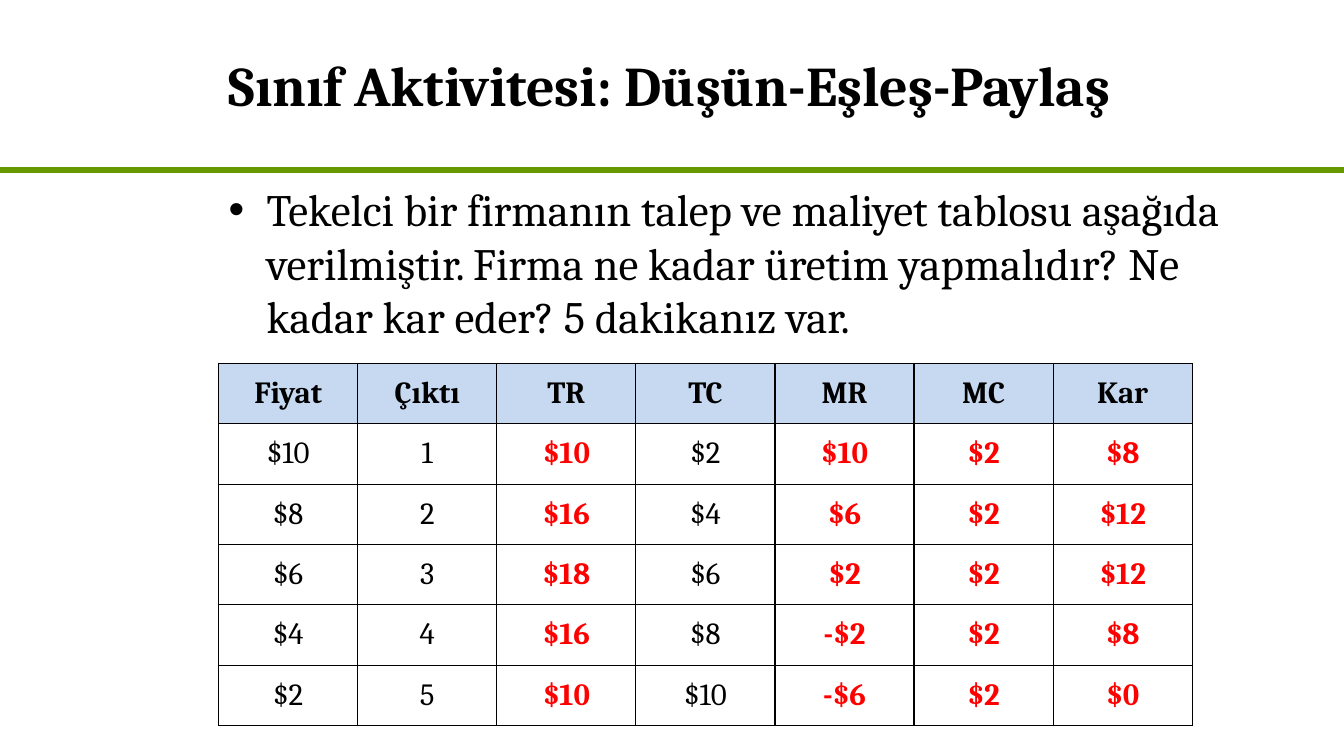
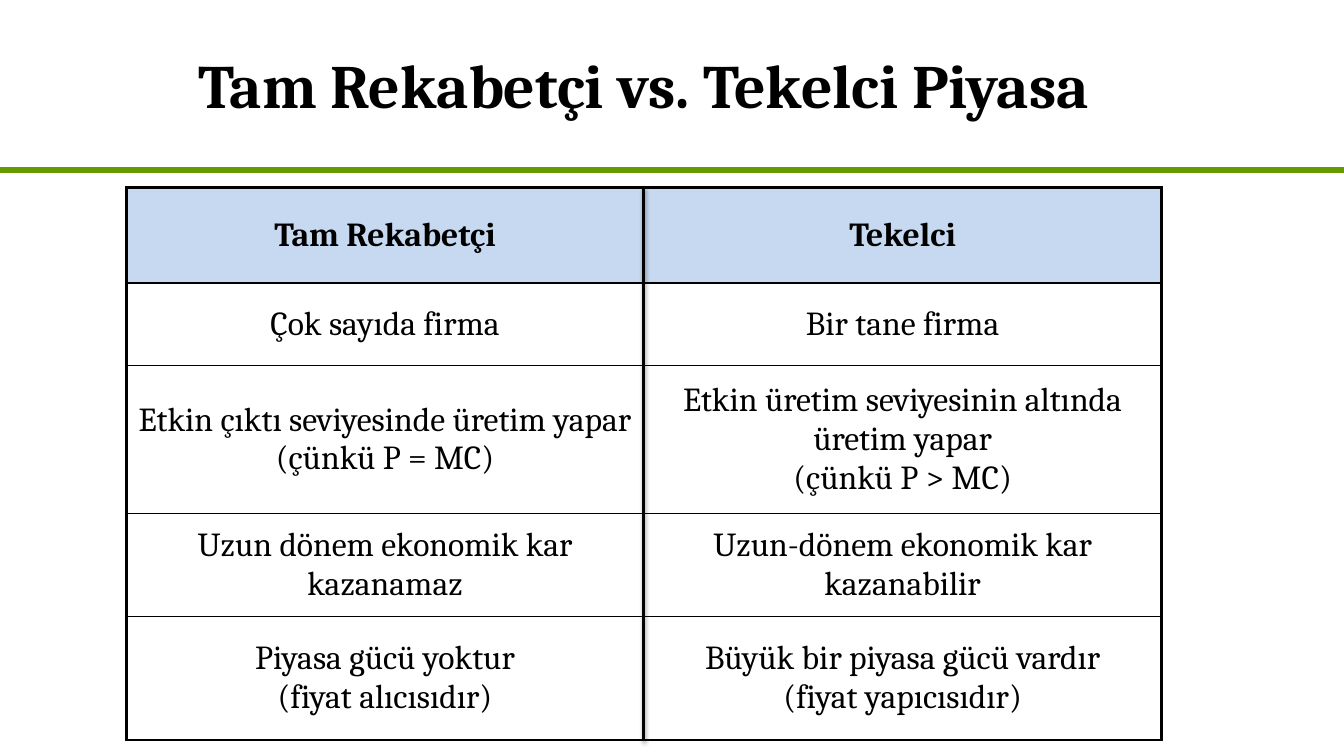
import pptx
import pptx.util
import pptx.dml.color
import pptx.enum.shapes
import pptx.enum.text
import pptx.oxml
import pptx.oxml.ns

Cm, Pt = pptx.util.Cm, pptx.util.Pt
ALIGN = pptx.enum.text.PP_ALIGN
MIDDLE = pptx.enum.text.MSO_ANCHOR.MIDDLE

FONT = "Cambria"
BLACK, RED, GREEN, HEADER_BLUE = "000000", "FF0000", "669900", "C6D9F1"
SLIDE_WIDTH, SLIDE_HEIGHT = Cm(33.87), Cm(19.05)
RULE_TOP, TITLE_HEIGHT = Cm(4.29), Cm(4.24)
THIN, THICK = Pt(1), Pt(2.25)

ACTIVITY_TITLE = "Sınıf Aktivitesi: Düşün-Eşleş-Paylaş"
ACTIVITY_QUESTION = (
    "Tekelci bir firmanın talep ve maliyet tablosu aşağıda verilmiştir. "
    "Firma ne kadar üretim yapmalıdır? Ne kadar kar eder? 5 dakikanız var."
)
COST_ROWS = [
    ("Fiyat", "Çıktı", "TR", "TC", "MR", "MC", "Kar"),
    ("$10", "1", "$10", "$2", "$10", "$2", "$8"),
    ("$8", "2", "$16", "$4", "$6", "$2", "$12"),
    ("$6", "3", "$18", "$6", "$2", "$2", "$12"),
    ("$4", "4", "$16", "$8", "-$2", "$2", "$8"),
    ("$2", "5", "$10", "$10", "-$6", "$2", "$0"),
]
ANSWER_COLUMNS = {"TR", "MR", "MC", "Kar"}

COMPARISON_TITLE = "Tam Rekabetçi vs. Tekelci Piyasa"
COMPARISON_ROWS = [
    ("Tam Rekabetçi", "Tekelci"),
    ("Çok sayıda firma", "Bir tane firma"),
    ("Etkin çıktı seviyesinde üretim yapar\n(çünkü P = MC)",
     "Etkin üretim seviyesinin altında üretim yapar\n(çünkü P > MC)"),
    ("Uzun dönem ekonomik kar kazanamaz", "Uzun-dönem ekonomik kar kazanabilir"),
    ("Piyasa gücü yoktur\n(fiyat alıcısıdır)",
     "Büyük bir piyasa gücü vardır\n(fiyat yapıcısıdır)"),
]
COMPARISON_HEIGHTS = [Cm(h) for h in (2.41, 2.08, 3.73, 2.59, 3.12)]


def rgb(color):
    return pptx.dml.color.RGBColor.from_string(color)


def xml(tag, content="", attributes=""):
    return pptx.oxml.parse_xml(
        f'<a:{tag} {pptx.oxml.ns.nsdecls("a")} {attributes}>{content}</a:{tag}>')


def style_text(frame, size, color=BLACK, bold=False, align=None):
    for paragraph in frame.paragraphs:
        paragraph.alignment = align
        for run in paragraph.runs:
            run.font.name, run.font.size, run.font.bold = FONT, Pt(size), bold
            run.font.color.rgb = rgb(color)


def fill_placeholder(placeholder, text, box, size, bold=False, align=None):
    placeholder.left, placeholder.top, placeholder.width, placeholder.height = box
    frame = placeholder.text_frame
    frame.text = text
    frame.auto_size = pptx.enum.text.MSO_AUTO_SIZE.NONE
    frame.paragraphs[0].space_before = Pt(0)
    style_text(frame, size, bold=bold, align=align)


def add_line(slide, start, end, color, weight, effect=""):
    line = slide.shapes.add_connector(
        pptx.enum.shapes.MSO_CONNECTOR.STRAIGHT, *start, *end)
    line.line.color.rgb = rgb(color)
    line.line.width = Pt(weight)
    line.element.spPr.append(xml("effectLst", effect))
    return line


def set_borders(cell, widths):
    properties = cell._tc.get_or_add_tcPr()
    for position, (side, width) in enumerate(zip("LRTB", widths)):
        stroke = f'<a:solidFill><a:srgbClr val="{BLACK}"/></a:solidFill>'
        properties.insert(position, xml(f"ln{side}", stroke, f'w="{width}"'))


def add_grid(slide, rows, corner, width, heights, size, margins, frame_width,
             answers=()):
    row_count, column_count = len(rows), len(rows[0])
    table = slide.shapes.add_table(
        row_count, column_count, *corner, width, sum(heights)).table
    table.horz_banding = False
    for column in table.columns:
        column.width = int(width / column_count)
    for r, (values, height) in enumerate(zip(rows, heights)):
        table.rows[r].height = height
        for c, value in enumerate(values):
            cell = table.cell(r, c)
            cell.text_frame.text = value
            cell.vertical_anchor = MIDDLE
            cell.margin_left = cell.margin_right = margins[0]
            cell.margin_top = cell.margin_bottom = margins[1]
            header = r == 0
            answer = not header and rows[0][c] in answers
            style_text(cell.text_frame, size, RED if answer else BLACK,
                       header or answer, ALIGN.CENTER)
            if header:
                cell.fill.solid()
                cell.fill.fore_color.rgb = rgb(HEADER_BLUE)
            else:
                cell.fill.background()
            on_edge = (c == 0, c == column_count - 1, header, r == row_count - 1)
            set_borders(cell, [frame_width if edge else THIN for edge in on_edge])


def build_activity(deck):
    slide = deck.slides.add_slide(deck.slide_layouts[1])
    left, width = Cm(5.51), Cm(24.54)
    fill_placeholder(slide.shapes.title, ACTIVITY_TITLE,
                     (left, 0, width, TITLE_HEIGHT), 40, True, ALIGN.LEFT)
    fill_placeholder(slide.placeholders[1], ACTIVITY_QUESTION,
                     (left, Cm(4.45), Cm(26.57), Cm(3.25)), 32)
    add_grid(slide, COST_ROWS, (left, Cm(9.16)), width,
             [Cm(1.52)] * len(COST_ROWS), 22, (Cm(0.03), Cm(0.02)), THIN,
             ANSWER_COLUMNS)
    return slide


def build_comparison(deck):
    slide = deck.slides.add_slide(deck.slide_layouts[5])
    fill_placeholder(slide.shapes.title, COMPARISON_TITLE,
                     (Cm(1.09), 0, Cm(30.28), TITLE_HEIGHT), 44, True, ALIGN.CENTER)
    left, top, width = Cm(3.18), Cm(4.72), Cm(26.09)
    add_grid(slide, COMPARISON_ROWS, (left, top), width, COMPARISON_HEIGHTS,
             24, (Cm(0.18), 0), THICK)
    middle = left + int(width / 2)
    shadow = (f'<a:outerShdw blurRad="{Pt(3.1)}" dist="{Pt(1.6)}" dir="5400000" '
              f'rotWithShape="0"><a:srgbClr val="{BLACK}"><a:alpha val="38000"/>'
              '</a:srgbClr></a:outerShdw>')
    add_line(slide, (middle, top), (middle, top + sum(COMPARISON_HEIGHTS)),
             BLACK, 2, shadow)


def main():
    deck = pptx.Presentation()
    deck.slide_width, deck.slide_height = SLIDE_WIDTH, SLIDE_HEIGHT
    activity = build_activity(deck)
    build_comparison(deck)
    title_rule = add_line(activity, (0, RULE_TOP), (SLIDE_WIDTH, RULE_TOP), GREEN, 4.5)
    deck.slide_master.shapes.element.append(title_rule.element)
    deck.save("out.pptx")


if __name__ == "__main__":
    main()
